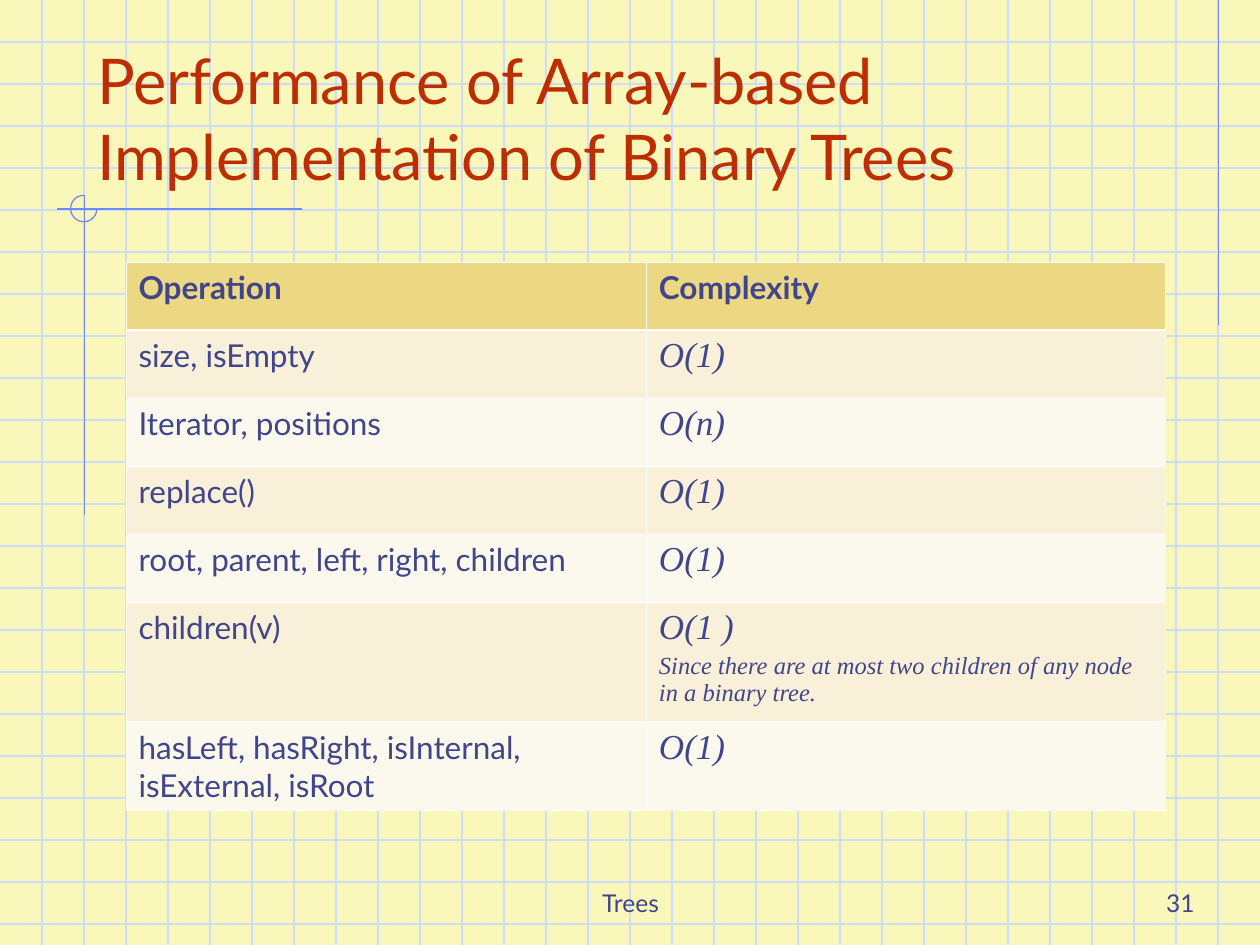
from pptx import Presentation
from pptx.dml.color import RGBColor
from pptx.enum.shapes import MSO_CONNECTOR, MSO_SHAPE
from pptx.enum.text import MSO_ANCHOR, MSO_AUTO_SIZE, PP_ALIGN
from pptx.oxml.ns import qn
from pptx.util import Inches, Pt
from lxml.etree import SubElement

PAPER = RGBColor(0xF9, 0xF8, 0xBA)
GRID = RGBColor(0xCF, 0xDB, 0xFD)
ACCENT = RGBColor(0x6F, 0x89, 0xF7)
RED = RGBColor(0xBE, 0x2D, 0x00)
INDIGO = RGBColor(0x40, 0x45, 0x8C)
HEADER_GOLD = RGBColor(0xEC, 0xD8, 0x82)
BANDS = (RGBColor(0xF8, 0xF0, 0xD8), RGBColor(0xFB, 0xF8, 0xED))

WIDTH, HEIGHT = 10, 7.5
GRID_PER_INCH = 3
BODY_FONT, MATH_FONT = "Lato", "Times New Roman"

NOTE = "Since there are at most two children of any node in a binary tree."
COMPLEXITIES = [
    ("size, isEmpty", ["O(1)"]),
    ("Iterator, positions", ["O(n)"]),
    ("replace()", ["O(1)"]),
    ("root, parent, left, right, children", ["O(1)"]),
    ("children(v)", ["O(1 )", NOTE]),
    ("hasLeft, hasRight, isInternal, isExternal, isRoot", ["O(1)"]),
]
ROW_HEIGHTS = [0.54] * 5 + [0.95, 0.7]
COLUMN_WIDTHS = [4.13, 4.12]


def set_font(paragraph, size, color=INDIGO, name=BODY_FONT, bold=False, italic=False):
    font = paragraph.font
    font.size, font.name = Pt(size), name
    font.bold, font.italic = bold, italic
    font.color.rgb = color


def set_borders(cell, bottom=0.45, top=0.45):
    """Draw white cell borders; widths are in points."""
    properties = cell._tc.get_or_add_tcPr()
    for side, width in (("L", 0.45), ("R", 0.45), ("T", top), ("B", bottom)):
        border = SubElement(properties, qn(f"a:ln{side}"), w=str(Pt(width)))
        fill = SubElement(border, qn("a:solidFill"))
        SubElement(fill, qn("a:srgbClr"), val="FFFFFF")


class GraphPaperSlide:
    def __init__(self, presentation):
        self.slide = presentation.slides.add_slide(presentation.slide_layouts[5])
        self.shapes = self.slide.shapes
        background = self.slide.background.fill
        background.solid()
        background.fore_color.rgb = PAPER

    def line(self, x1, y1, x2, y2, color):
        connector = self.shapes.add_connector(
            MSO_CONNECTOR.STRAIGHT, Inches(x1), Inches(y1), Inches(x2), Inches(y2))
        connector.line.color.rgb = color
        connector.line.width = Pt(0.75)
        SubElement(connector._element.spPr, qn("a:effectLst"))

    def grid(self):
        for step in range(1, int(HEIGHT * GRID_PER_INCH) + 1):
            self.line(0, step / GRID_PER_INCH, WIDTH, step / GRID_PER_INCH, GRID)
        for step in range(1, WIDTH * GRID_PER_INCH):
            self.line(step / GRID_PER_INCH, 0, step / GRID_PER_INCH, HEIGHT, GRID)

    def three_quarter_circle(self, left, top, diameter):
        arc = self.shapes.add_shape(
            MSO_SHAPE.ARC, Inches(left), Inches(top), Inches(diameter), Inches(diameter))
        arc.adjustments[0] = 0
        arc.adjustments[1] = 162  # 270 degrees, in units of 100000/60000 degree
        arc.fill.background()
        arc.line.color.rgb = ACCENT
        arc.line.width = Pt(0.75)
        arc.shadow.inherit = False

    def title(self, text, left, top, width, height):
        title = self.shapes.title
        title.left, title.top = Inches(left), Inches(top)
        title.width, title.height = Inches(width), Inches(height)
        frame = title.text_frame
        frame.text = text
        frame.word_wrap = True
        frame.auto_size = MSO_AUTO_SIZE.NONE
        frame.vertical_anchor = MSO_ANCHOR.BOTTOM
        frame.paragraphs[0].alignment = PP_ALIGN.LEFT
        set_font(frame.paragraphs[0], 36, RED)
        self.shapes._spTree.append(title._element)  # in front of the grid

    def footer(self, text, left, width, alignment):
        box = self.shapes.add_textbox(Inches(left), Inches(6.83), Inches(width), Inches(0.5))
        frame = box.text_frame
        frame.text = text
        frame.word_wrap = True
        frame.vertical_anchor = MSO_ANCHOR.BOTTOM
        frame.paragraphs[0].alignment = alignment
        set_font(frame.paragraphs[0], 14)

    def complexity_table(self, left, top):
        table = self.shapes.add_table(
            len(ROW_HEIGHTS), len(COLUMN_WIDTHS), Inches(left), Inches(top),
            Inches(sum(COLUMN_WIDTHS)), Inches(sum(ROW_HEIGHTS))).table
        for column, width in zip(table.columns, COLUMN_WIDTHS):
            column.width = Inches(width)
        for row, height in zip(table.rows, ROW_HEIGHTS):
            row.height = Inches(height)

        for column, heading in enumerate(("Operation", "Complexity")):
            cell = self.fill_cell(table.cell(0, column), heading, HEADER_GOLD, bottom=1.47)
            set_font(cell.text_frame.paragraphs[0], 18, bold=True)

        for row, (operation, complexity) in enumerate(COMPLEXITIES, start=1):
            band = BANDS[(row - 1) % 2]
            top_border = 1.47 if row == 1 else 0.45
            cell = self.fill_cell(table.cell(row, 0), operation, band, top=top_border)
            set_font(cell.text_frame.paragraphs[0], 18)
            cell = self.fill_cell(table.cell(row, 1), "\n".join(complexity), band, top=top_border)
            bound, *notes = cell.text_frame.paragraphs
            set_font(bound, 20, name=MATH_FONT, italic=True)
            for note in notes:
                note.space_before = Pt(3)
                set_font(note, 14, name=MATH_FONT, italic=True)

    @staticmethod
    def fill_cell(cell, text, color, **border_widths):
        cell.text = text
        set_borders(cell, **border_widths)
        cell.fill.solid()
        cell.fill.fore_color.rgb = color
        return cell


def main():
    presentation = Presentation()
    presentation.slide_width, presentation.slide_height = Inches(WIDTH), Inches(HEIGHT)
    page = GraphPaperSlide(presentation)
    page.grid()
    page.line(9.67, 0, 9.67, 2.58, ACCENT)
    page.line(2.4, 1.66, 0.45, 1.66, ACCENT)
    page.line(0.67, 1.55, 0.67, 4.09, ACCENT)
    page.three_quarter_circle(0.56, 1.55, 0.21)
    page.footer("Trees", 3.42, 3.17, PP_ALIGN.CENTER)
    page.footer("31", 7.5, 2.08, PP_ALIGN.RIGHT)
    page.title("Performance of Array-based Implementation of Binary Trees", 0.67, 0.33, 8.5, 1.25)
    page.complexity_table(1, 2.08)
    presentation.save("out.pptx")


if __name__ == "__main__":
    main()
